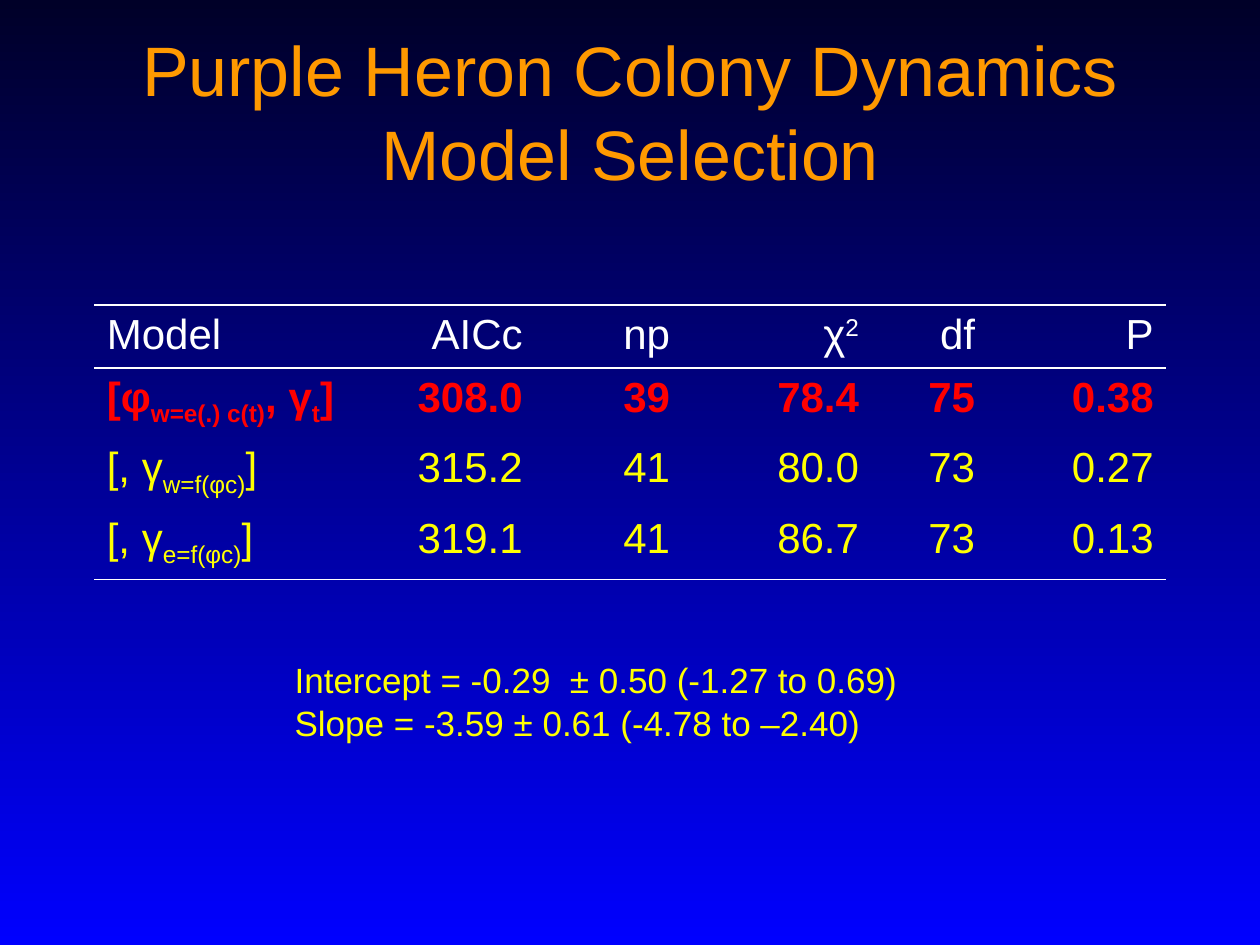
import pptx
import pptx.dml.color
import pptx.enum.text
import pptx.oxml.ns
import pptx.util
from lxml import etree

Cm = pptx.util.Cm
Pt = pptx.util.Pt
ALIGN = pptx.enum.text.PP_ALIGN

ORANGE, WHITE, RED, YELLOW = "FF9900", "FFFFFF", "FF0000", "FFFF00"
SUP, SUB = 30, -25  # baseline shift in percent

WIDTHS = [5.51, 3.38, 2.97, 3.81, 2.34, 3.6]
HEIGHTS = [1.27, 1.42, 1.42, 1.42]
RULES = {0, 1, 4}  # row edges that carry a line

# Each row: colour, bold, cells; a cell is a list of (text, baseline)
MODELS = [
    (WHITE, False, [[("Model", 0)], [("AICc", 0)], [("np", 0)],
                    [("χ", 0), ("2", SUP)], [("df", 0)], [("P", 0)]]),
    (RED, True, [[("[φ", 0), ("w=e(.) c(t)", SUB), (", γ", 0), ("t", SUB), ("]", 0)],
                 [("308.0", 0)], [("39", 0)], [("78.4", 0)], [("75", 0)], [("0.38", 0)]]),
    (YELLOW, False, [[("[, γ", 0), ("w=f(φc)", SUB), ("]", 0)],
                     [("315.2", 0)], [("41", 0)], [("80.0", 0)], [("73", 0)], [("0.27", 0)]]),
    (YELLOW, False, [[("[, γ", 0), ("e=f(φc)", SUB), ("]", 0)],
                     [("319.1", 0)], [("41", 0)], [("86.7", 0)], [("73", 0)], [("0.13", 0)]]),
]


def color(code):
    return pptx.dml.color.RGBColor.from_string(code)


def style(run, size, code, bold=False):
    font = run.font
    font.name, font.size, font.bold = "Arial", Pt(size), bold
    font.color.rgb = color(code)


def paint(slide, top, bottom):
    fill = slide.background.fill
    fill.gradient()
    fill.gradient_angle = 270
    for stop, code in zip(fill.gradient_stops, (top, bottom)):
        stop.color.rgb = color(code)


def add_text(slide, area, text, size, code, align=ALIGN.LEFT):
    box = slide.shapes.add_textbox(*map(Cm, area))
    frame = box.text_frame
    frame.word_wrap = True
    frame.text = text
    for para in frame.paragraphs:
        para.alignment = align
        for run in para.runs:
            style(run, size, code)
    return frame


def add_edge(cell, side, shown):
    props = cell._tc.get_or_add_tcPr()
    qn = pptx.oxml.ns.qn
    line = etree.SubElement(props, qn("a:ln" + side), w=str(Pt(1.08)))
    if shown:
        fill = etree.SubElement(line, qn("a:solidFill"))
        etree.SubElement(fill, qn("a:srgbClr"), val=WHITE)
    else:
        etree.SubElement(line, qn("a:noFill"))


def fill_cell(cell, parts, code, bold, align):
    para = cell.text_frame.paragraphs[0]
    para.alignment = align
    for text, shift in parts:
        run = para.add_run()
        run.text = text
        style(run, 24, code, bold)
        if shift:
            run.font._element.set("baseline", str(shift * 1000))


def add_models(slide, left, top):
    frame = slide.shapes.add_table(len(MODELS), len(WIDTHS), Cm(left), Cm(top),
                                   Cm(sum(WIDTHS)), Cm(sum(HEIGHTS)))
    table = frame.table
    table.first_row = table.horz_banding = False
    for col, width in zip(table.columns, WIDTHS):
        col.width = Cm(width)
    for row, height in zip(table.rows, HEIGHTS):
        row.height = Cm(height)
    for r, (code, bold, cells) in enumerate(MODELS):
        for c, parts in enumerate(cells):
            cell = table.cell(r, c)
            fill_cell(cell, parts, code, bold, ALIGN.RIGHT if c else ALIGN.LEFT)
            edges = {"L": False, "R": False, "T": r in RULES, "B": r + 1 in RULES}
            for side, shown in edges.items():
                add_edge(cell, side, shown)
            cell.fill.background()


def main():
    deck = pptx.Presentation()
    deck.slide_width, deck.slide_height = Cm(25.4), Cm(19.05)
    slide = deck.slides.add_slide(deck.slide_layouts[6])
    paint(slide, "000028", "0000FF")

    # Title
    title = add_text(slide, (1.9, 0.64, 21.6, 3.18),
                     "Purple Heron Colony Dynamics Model Selection",
                     40, ORANGE, ALIGN.CENTER)
    title.vertical_anchor = pptx.enum.text.MSO_ANCHOR.MIDDLE

    # Model comparison
    add_models(slide, 1.9, 6.15)

    # Estimates
    note = add_text(slide, (5.69, 13.16, 12.98, 1.96),
                    "Intercept = -0.29  ± 0.50 (-1.27 to 0.69)\n"
                    "Slope = -3.59 ± 0.61 (-4.78 to –2.40)", 20, YELLOW)
    note.word_wrap = False
    note.auto_size = pptx.enum.text.MSO_AUTO_SIZE.SHAPE_TO_FIT_TEXT

    deck.save("out.pptx")


if __name__ == "__main__":
    main()
